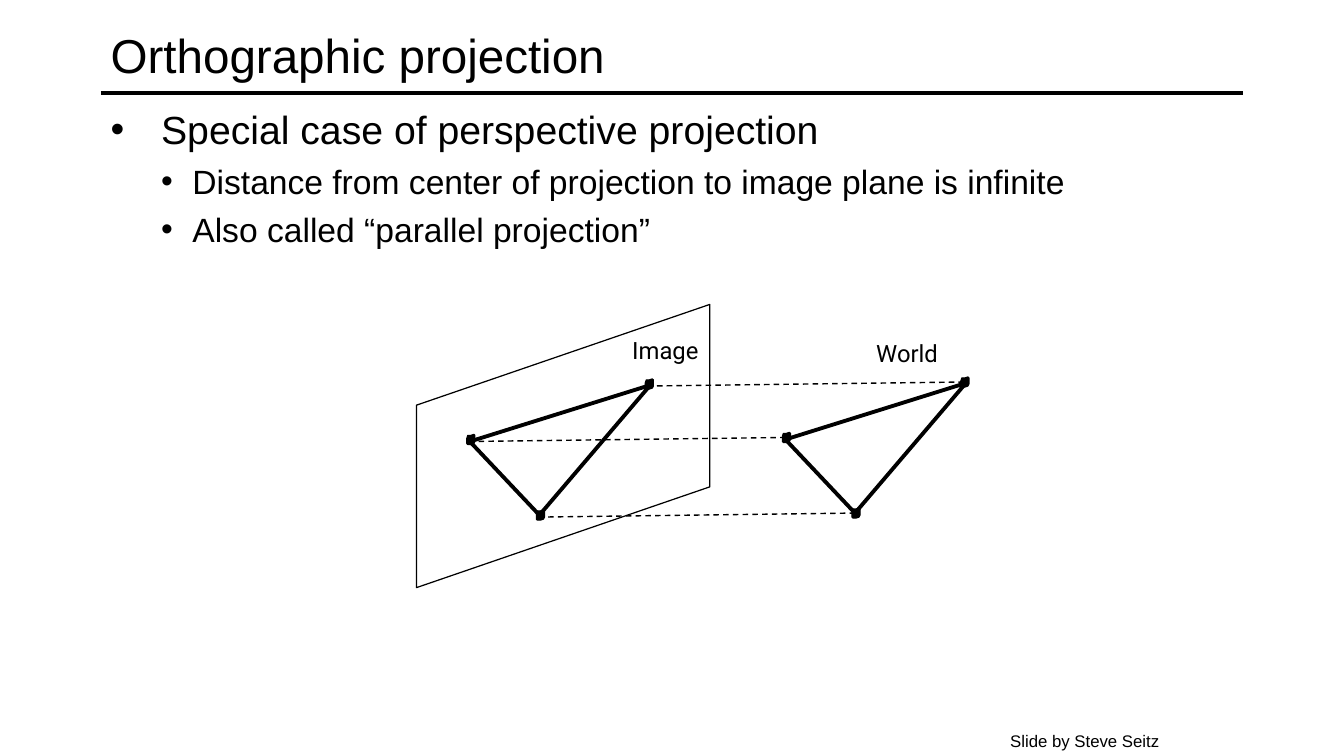
from lxml import etree
from pptx import Presentation
from pptx.dml.color import RGBColor
from pptx.enum.dml import MSO_LINE
from pptx.enum.shapes import MSO_CONNECTOR
from pptx.enum.text import MSO_ANCHOR, MSO_AUTO_SIZE
from pptx.oxml.ns import qn
from pptx.util import Inches, Pt

STRAIGHT = MSO_CONNECTOR.STRAIGHT
DASH = MSO_LINE.DASH
TOP, MIDDLE = MSO_ANCHOR.TOP, MSO_ANCHOR.MIDDLE
FIT_SHAPE, NO_FIT = MSO_AUTO_SIZE.SHAPE_TO_FIT_TEXT, MSO_AUTO_SIZE.NONE

COLORS = {"ink": "000000", "paper": "FFFFFF"}
COLUMNS, ROWS = 13.33, 7.5
CELL = Inches(1)  # one grid column or row

# Bullet levels: text size, left margin, hanging indent
LEVELS = [(28, 0.5, -0.5), (24, 0.81, -0.31)]
BULLETS = [
    (0, "Special case of perspective projection"),
    (1, "Distance from center of projection to image plane is infinite"),
    (1, "Also called “parallel projection”"),
]

# Geometry of the diagram, in grid units
PLANE = [(4.13, 4.02), (7.04, 3.02), (7.04, 4.83), (4.13, 5.83)]
TRIANGLE = [(4.66, 4.38), (6.45, 3.82), (5.35, 5.11)]
VERTEX_DOTS = [(4.63, 4.31), (6.4, 3.76), (5.32, 5.06)]
DOT_OUTLINE = [(0.04, 0.01), (0.07, 0), (0.08, 0.01), (0.08, 0.07),
               (0.07, 0.09), (0.04, 0.1), (0.01, 0.1), (0, 0.09),
               (0, 0.04), (0.01, 0.01)]
WORLD_SHIFT = (3.13, -0.02)
RAY_START = (0.02, 0.07)
RAY_SPAN = (3.14, -0.04)


def grid(value):
    return round(value * CELL)


def color(name):
    return RGBColor.from_string(COLORS[name])


def shift(points, offset):
    return [(x + offset[0], y + offset[1]) for x, y in points]


def style_line(line, width):
    line.color.rgb = color("ink")
    line.width = Pt(width)


def style_text(para, size, font):
    for span in para.runs:
        span.font.size = Pt(size)
        span.font.name = font
        span.font.color.rgb = color("ink")


def add_box(page, left, top, width, height, anchor=TOP, wrap=True):
    box = page.shapes.add_textbox(*map(grid, (left, top, width, height)))
    frame = box.text_frame
    frame.word_wrap = wrap
    frame.vertical_anchor = anchor
    frame.auto_size = NO_FIT if wrap else FIT_SHAPE
    return frame


def add_line(page, start, end, width, dash=None):
    line = page.shapes.add_connector(STRAIGHT, *map(grid, start + end))
    style_line(line.line, width)
    if dash:
        line.line.dash_style = dash
    etree.SubElement(line._element.spPr, qn("a:effectLst"))


def add_outline(shapes, points, width, filled=False):
    corners = [(grid(x), grid(y)) for x, y in points]
    builder = shapes.build_freeform(*corners[0])
    builder.add_line_segments(corners[1:], close=True)
    outline = builder.convert_to_shape()
    outline.shadow.inherit = False
    style_line(outline.line, width)
    if filled:
        outline.fill.solid()
        outline.fill.fore_color.rgb = color("ink")
    else:
        outline.fill.background()


def add_triangle(shapes, offset=(0, 0)):
    add_outline(shapes, shift(TRIANGLE, offset), 2.75)
    for dot in shift(VERTEX_DOTS, offset):
        add_outline(shapes, shift(DOT_OUTLINE, dot), 0.88, filled=True)


def add_bullets(page):
    frame = add_box(page, 1, 1, 11.33, 5.75)
    for index, (level, text) in enumerate(BULLETS):
        para = frame.add_paragraph() if index else frame.paragraphs[0]
        size, margin, indent = LEVELS[level]
        para.text = text
        para.level = level
        properties = para._p.get_or_add_pPr()
        properties.set("marL", str(grid(margin)))
        properties.set("indent", str(grid(indent)))
        etree.SubElement(properties, qn("a:buFont"), typeface="Arial")
        etree.SubElement(properties, qn("a:buChar"), char="•")
        if index:
            para.space_before = Pt(size * 0.23)
        style_text(para, size, "Arial")


def add_label(page, text, left, top, width):
    frame = add_box(page, left, top, width, 0.26, wrap=False)
    frame.margin_left = frame.margin_right = 0
    frame.margin_top = frame.margin_bottom = 0
    para = frame.paragraphs[0]
    para.text = text
    para.line_spacing = 0.9
    style_text(para, 17, "Roboto")


def main():
    deck = Presentation()
    deck.slide_width, deck.slide_height = grid(COLUMNS), grid(ROWS)
    page = deck.slides.add_slide(deck.slide_layouts[6])
    page.background.fill.solid()
    page.background.fill.fore_color.rgb = color("paper")

    # Title, rule and bullets
    add_line(page, (1, 0.92), (12.33, 0.92), 3)
    title = add_box(page, 1, 0.08, 11.33, 0.92, anchor=MIDDLE)
    title.text = "Orthographic projection"
    style_text(title.paragraphs[0], 34, "Arial")
    add_bullets(page)

    # Image plane and the two triangles
    add_triangle(page.shapes)
    add_outline(page.shapes, PLANE, 0.88)
    add_label(page, "Image", 6.27, 3.36, 0.66)
    add_label(page, "World", 8.69, 3.39, 0.62)
    add_triangle(page.shapes.add_group_shape().shapes, WORLD_SHIFT)

    # Parallel rays between matching vertices
    for start in shift(VERTEX_DOTS, RAY_START):
        end = shift([start], RAY_SPAN)[0]
        add_line(page, start, end, 1, DASH)

    # Credit
    credit = add_box(page, 9.92, 7.2, 1.68, 0.3, wrap=False)
    credit.text = "Slide by Steve Seitz"
    style_text(credit.paragraphs[0], 12, "Arial")

    deck.save("out.pptx")


if __name__ == "__main__":
    main()
